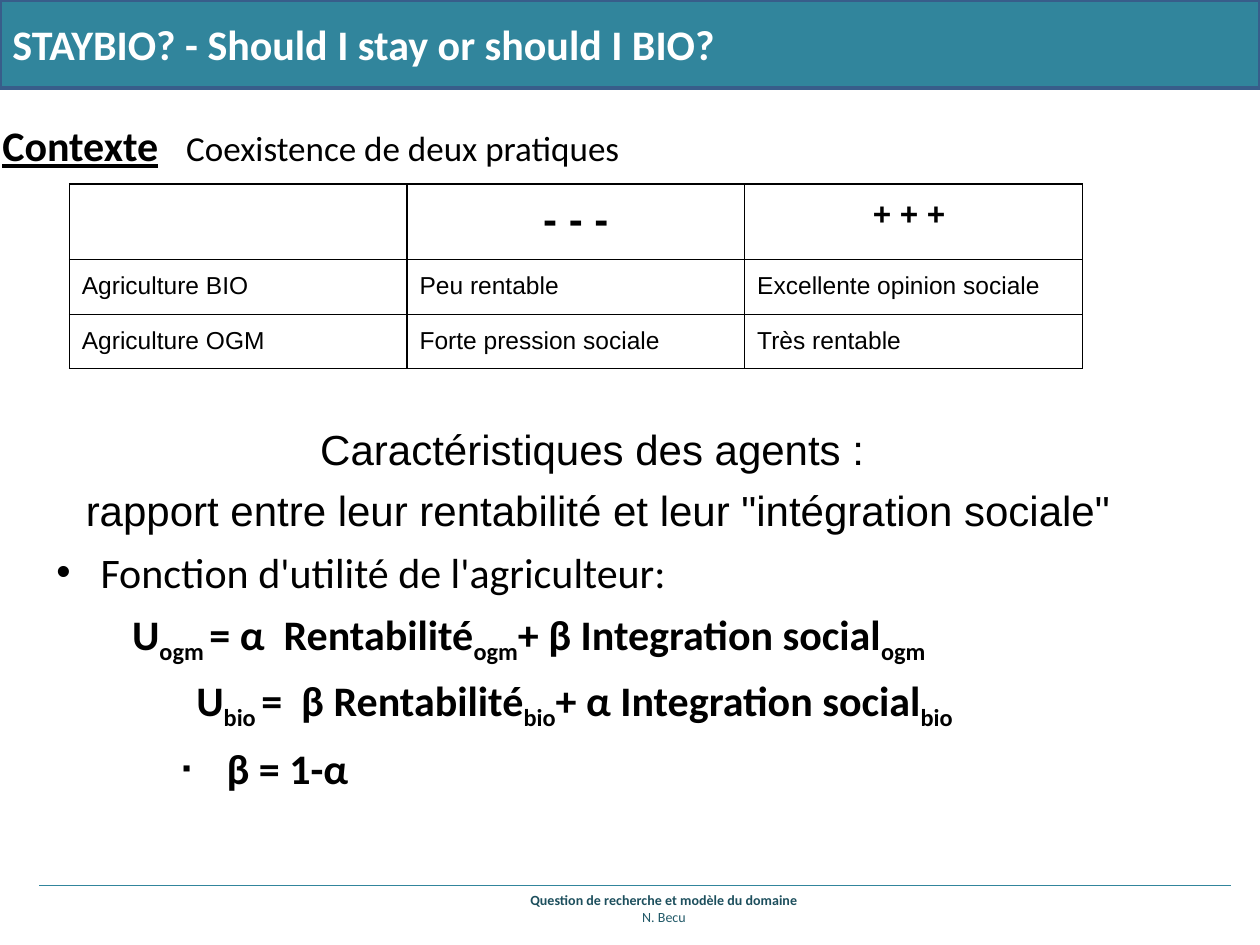
from lxml import etree
from pptx import Presentation
from pptx.dml.color import RGBColor
from pptx.enum.shapes import MSO_CONNECTOR, MSO_SHAPE
from pptx.enum.text import MSO_ANCHOR, PP_ALIGN
from pptx.oxml.ns import qn
from pptx.util import Inches, Pt

COLORS = {
    "teal": "31859C", "border": "385D8A", "white": "FFFFFF",
    "black": "000000", "footer": "1D4F5D", "author": "215968",
}


def rgb(name):
    return RGBColor.from_string(COLORS[name])


def add_element(parent, tag, **attributes):
    return etree.SubElement(parent, qn(tag), attributes)


def add_run(paragraph, text, size, font="Calibri", color="black", bold=False, subscript=False):
    run = paragraph.add_run()
    run.text = text
    run.font.size = Pt(size)
    run.font.name = font
    run.font.bold = bold
    run.font.color.rgb = rgb(color)
    if subscript:
        run.font._element.set("baseline", "-25000")
    return run


def set_indent(paragraph, left, first=0):
    properties = paragraph._p.get_or_add_pPr()
    properties.set("marL", str(Inches(left)))
    properties.set("indent", str(Inches(first)))


def set_bullet(paragraph, char, percent):
    properties = paragraph._p.get_or_add_pPr()
    color = add_element(properties, "a:buClr")
    add_element(color, "a:srgbClr", val=COLORS["black"])
    add_element(properties, "a:buSzPct", val=str(percent * 1000))
    add_element(properties, "a:buFont", typeface="Arial")
    add_element(properties, "a:buChar", char=char)


def add_text_frame(slide, left, top, width, height, anchor=MSO_ANCHOR.TOP):
    box = slide.shapes.add_textbox(Inches(left), Inches(top), Inches(width), Inches(height))
    frame = box.text_frame
    frame.word_wrap = True
    frame.vertical_anchor = anchor
    return frame


def add_title_bar(slide, left, top, width, height):
    bar = slide.shapes.add_shape(
        MSO_SHAPE.RECTANGLE, Inches(left), Inches(top), Inches(width), Inches(height))
    bar.shadow.inherit = False
    bar.fill.solid()
    bar.fill.fore_color.rgb = rgb("teal")
    bar.line.color.rgb = rgb("border")
    bar.line.width = Pt(2)
    title = add_text_frame(slide, left, top, width - 1.16, height, MSO_ANCHOR.MIDDLE)
    add_run(title.paragraphs[0], "STAYBIO? - Should I stay or should I BIO?", 24,
            color="white", bold=True)


def add_footer(slide, left, top, width, height):
    footer = add_text_frame(slide, left + 1.64, top, width - 2.82, height)
    topic = footer.paragraphs[0]
    author = footer.add_paragraph()
    topic.alignment = author.alignment = PP_ALIGN.CENTER
    add_run(topic, "Question de recherche et modèle du domaine", 8, color="footer", bold=True)
    add_run(author, "N. Becu", 8, color="author")

    rule = slide.shapes.add_connector(
        MSO_CONNECTOR.STRAIGHT, Inches(left), Inches(top), Inches(left + width), Inches(top))
    rule.line.color.rgb = rgb("teal")
    rule.line.width = Pt(0.75)
    add_element(rule._element.spPr, "a:effectLst")


def add_context_heading(slide, left, top, width, height):
    heading = add_text_frame(slide, left, top, width, height, MSO_ANCHOR.MIDDLE)
    heading.margin_top = heading.margin_bottom = Inches(0.1)
    paragraph = heading.paragraphs[0]
    paragraph.line_spacing = 1.15
    paragraph.space_before = Pt(6)
    # Tab stop between the heading and its subject
    tabs = add_element(paragraph._p.get_or_add_pPr(), "a:tabLst")
    add_element(tabs, "a:tab", pos=str(Inches(1.46)), algn="l")
    add_run(paragraph, "Contexte", 24, bold=True).font.underline = True
    add_run(paragraph, "\tCoexistence de deux pratiques", 20)


def set_cell_borders(cell):
    properties = cell._tc.get_or_add_tcPr()
    for position, side in enumerate(("a:lnL", "a:lnR", "a:lnT", "a:lnB")):
        border = etree.Element(qn(side), w=str(Pt(0.75)))
        fill = add_element(border, "a:solidFill")
        add_element(fill, "a:srgbClr", val=COLORS["black"])
        properties.insert(position, border)


def add_practices_table(slide, left, top, width):
    rows = [
        ["", "- - -", "+ + + "],
        ["Agriculture BIO", "Peu rentable", "Excellente opinion sociale"],
        ["Agriculture OGM", "Forte pression sociale", "Très rentable"],
    ]
    heights = [0.57, 0.42, 0.42]
    header_sizes = [18, 24, 18]
    table = slide.shapes.add_table(
        len(rows), len(rows[0]), Inches(left), Inches(top),
        Inches(width), Inches(sum(heights))).table
    for row, height in zip(table.rows, heights):
        row.height = Inches(height)
    for r, texts in enumerate(rows):
        for c, text in enumerate(texts):
            cell = table.cell(r, c)
            cell.fill.background()
            cell.margin_left = cell.margin_right = Inches(0.1)
            cell.margin_top = cell.margin_bottom = Inches(0.1)
            set_cell_borders(cell)
            if text:
                header = r == 0
                paragraph = cell.text_frame.paragraphs[0]
                paragraph.alignment = PP_ALIGN.CENTER if header else PP_ALIGN.LEFT
                add_run(paragraph, text, header_sizes[c] if header else 14, "Arial", bold=header)


def add_utility(paragraph, practice, first_term, second_term):
    for text in ("U", first_term, second_term):
        add_run(paragraph, text, 24, bold=True)
        suffix = practice + " " if text == "U" else practice
        add_run(paragraph, suffix, 24, bold=True, subscript=True)


def add_agents(slide, left, top, width, height):
    frame = add_text_frame(slide, left, top, width, height)
    paragraphs = [frame.paragraphs[0]] + [frame.add_paragraph() for _ in range(5)]
    for paragraph in paragraphs:
        paragraph.space_before = Pt(6.4)
        paragraph.alignment = PP_ALIGN.JUSTIFY
    traits, ratio, utility, ogm, bio, constraint = paragraphs

    # Agent traits
    traits.alignment = ratio.alignment = PP_ALIGN.CENTER
    add_run(traits, "Caractéristiques des agents :", 24, "Arial")
    add_run(ratio, ' rapport entre leur rentabilité et leur "intégration sociale"', 24, "Arial")

    # Utility function and its two forms
    set_indent(utility, 0.5, -0.35)
    set_bullet(utility, "•", 97)
    add_run(utility, "Fonction d'utilité de l'agriculteur:", 24)
    set_indent(ogm, 1, -0.25)
    add_utility(ogm, "ogm", "= α  Rentabilité", "+ β Integration social")
    set_indent(bio, 1.26)
    bio.space_before = Pt(0)
    bio.line_spacing = 1.15
    add_utility(bio, "bio", "=  β Rentabilité", "+ α Integration social")

    # Constraint on the weights
    constraint.level = 2
    set_indent(constraint, 1.5, -0.35)
    set_bullet(constraint, "▪", 58)
    add_run(constraint, "β = 1-α", 24, bold=True)


def main():
    presentation = Presentation()
    presentation.slide_width = Inches(10)
    presentation.slide_height = Inches(7.5)
    slide = presentation.slides.add_slide(presentation.slide_layouts[6])
    add_footer(slide, 0.31, 7.03, 9.46, 0.37)
    add_title_bar(slide, 0, 0, 10, 0.7)
    add_agents(slide, 0.2, 3.31, 9, 4.19)
    add_practices_table(slide, 0.55, 1.46, 8.04)
    add_context_heading(slide, -0.08, 0.55, 9, 1.14)
    presentation.save("out.pptx")


if __name__ == "__main__":
    main()
